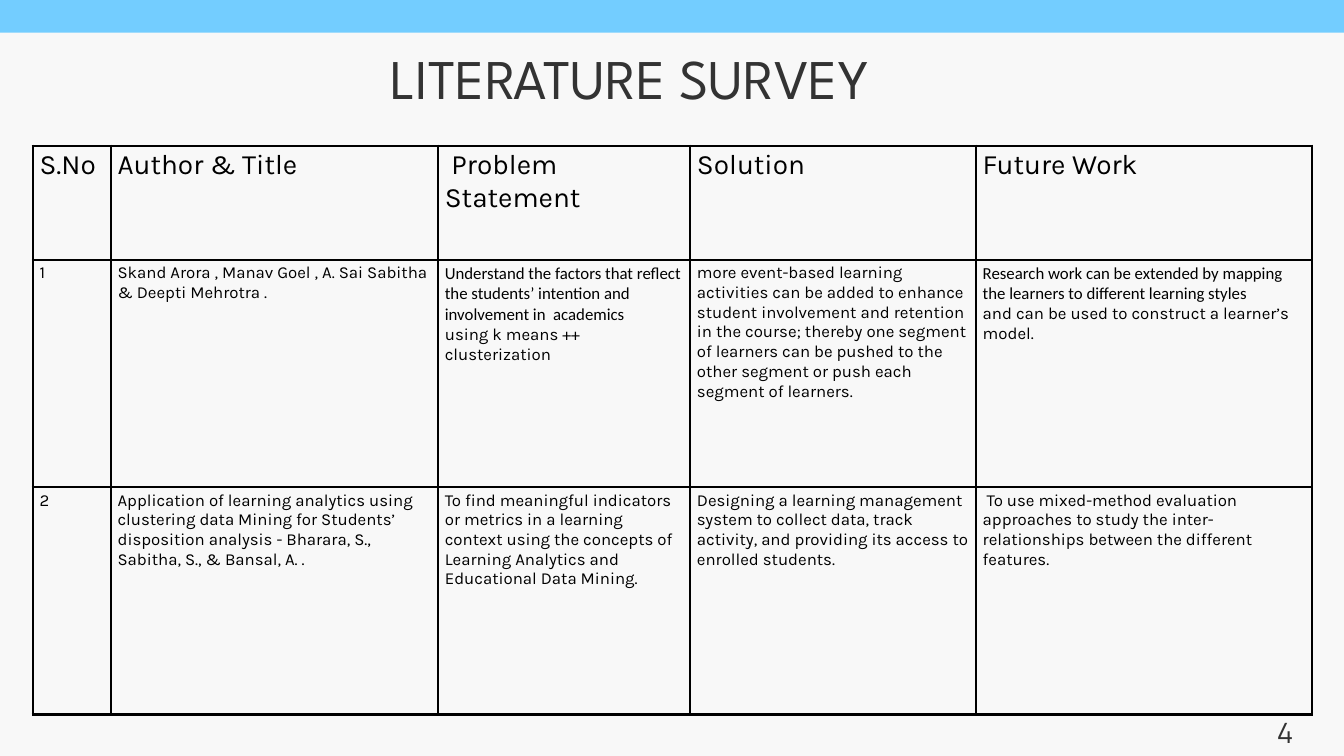
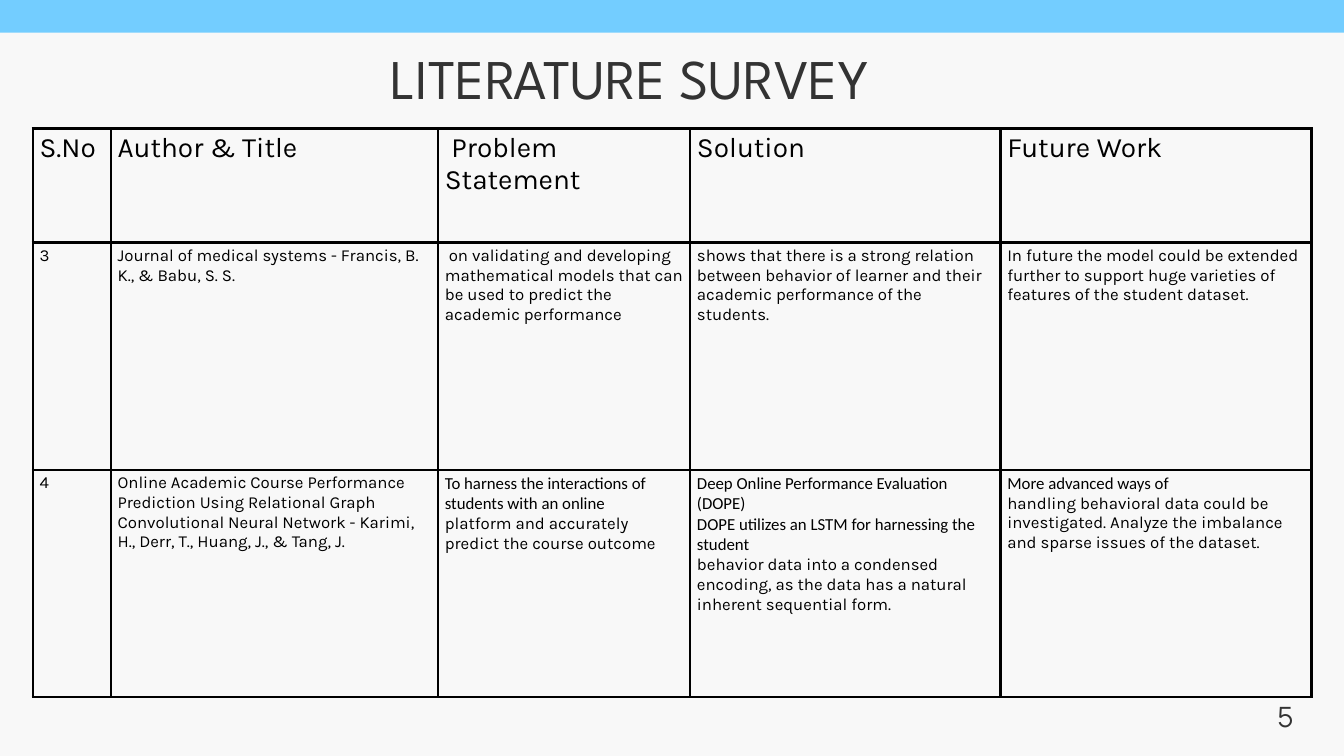
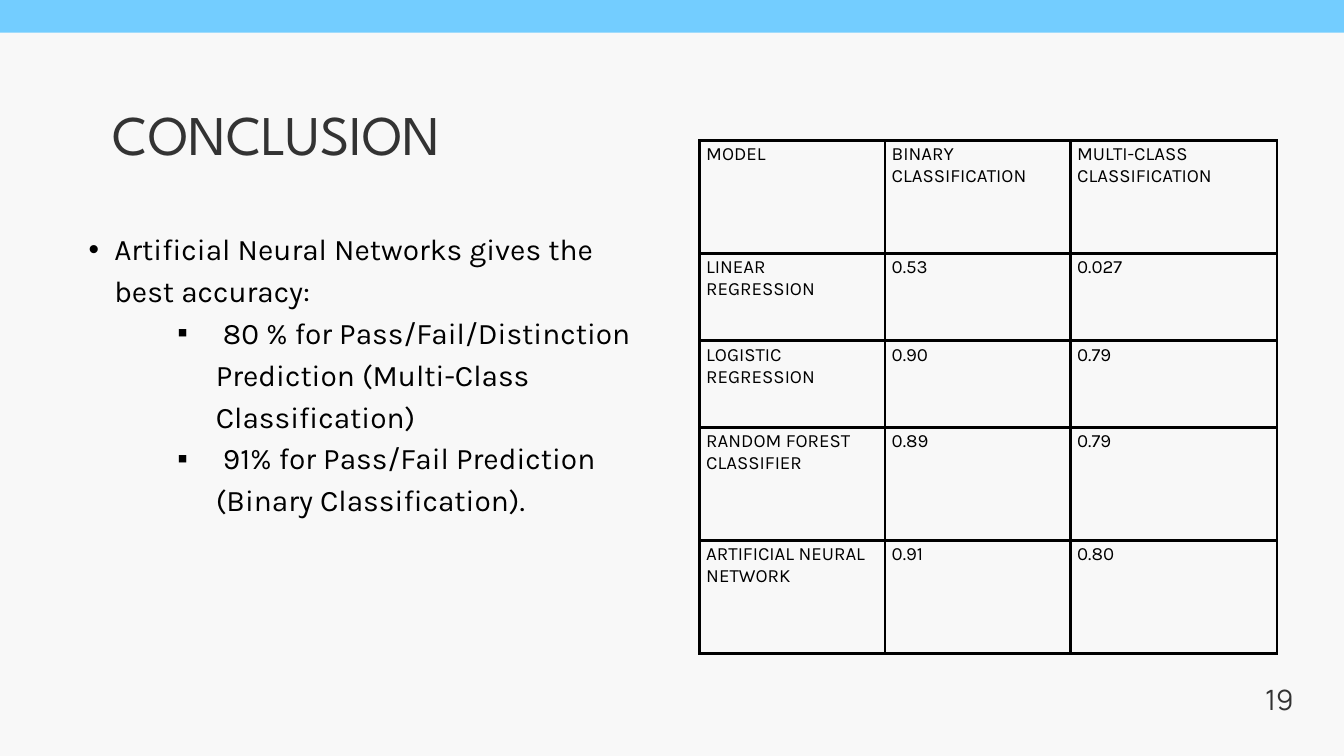
from dataclasses import dataclass
from typing import NamedTuple

import lxml.etree
import pptx
import pptx.dml.color
import pptx.enum.shapes
import pptx.enum.text
import pptx.oxml.ns
import pptx.slide
import pptx.table
import pptx.text.text
import pptx.util
from pptx.util import Cm

ALIGN = pptx.enum.text.PP_ALIGN
BODY_FONT, TITLE_FONT, NUMBER_FONT, QUOTE_FONT = "Karla", "League Spartan", "Manrope", "Calibri"
BULLET_FONT = "Arial"
PAPER, SKY, CHARCOAL, BLACK = "F8F8F8", "73CDFF", "333333", "000000"
SLIDE_WIDTH, SLIDE_HEIGHT, BAND_HEIGHT = Cm(50.8), Cm(28.58), Cm(1.24)
BORDER_WIDTH = pptx.util.Pt(3)
BULLET_LEADING = 44.8


class Passage(NamedTuple):
    text: str
    font: str = BODY_FONT


Cell = str | tuple[Passage, ...]


class Box(NamedTuple):
    """Left, top, width and height in centimetres."""
    left: float
    top: float
    width: float
    height: float


@dataclass
class Grid:
    """A bordered table; sizes are in centimetres, text sizes in points."""
    left: float
    top: float
    columns: list[float]
    rows: list[float]
    cells: list[list[Cell]]
    header_size: float
    body_size: float


@dataclass
class Page:
    title: str
    title_box: Box
    title_align: ALIGN
    number: str
    number_top: float
    grid: Grid


class Bullet(NamedTuple):
    text: str
    mark: str
    level: int
    indent: float
    hanging: float


def rgb(color: str) -> pptx.dml.color.RGBColor:
    return pptx.dml.color.RGBColor.from_string(color)


def write(paragraph: pptx.text.text._Paragraph, text: str, *, size: float,
          font: str = BODY_FONT, color: str = BLACK,
          align: ALIGN | None = None, leading: float | None = None) -> None:
    run = paragraph.add_run()
    run.text = text
    run.font.name = font
    run.font.size = pptx.util.Pt(size)
    run.font.color.rgb = rgb(color)
    if align is not None:
        paragraph.alignment = align
    if leading is not None:
        paragraph.line_spacing = pptx.util.Pt(leading)


def next_paragraph(frame: pptx.text.text.TextFrame, index: int) -> pptx.text.text._Paragraph:
    return frame.add_paragraph() if index else frame.paragraphs[0]


def add_text_frame(slide: pptx.slide.Slide, box: Box) -> pptx.text.text.TextFrame:
    frame = slide.shapes.add_textbox(*map(Cm, box)).text_frame
    frame.word_wrap = True
    frame.margin_left = frame.margin_top = frame.margin_right = frame.margin_bottom = 0
    return frame


def add_borders(cell: pptx.table._Cell) -> None:
    properties = cell._tc.get_or_add_tcPr()
    qn = pptx.oxml.ns.qn
    for side in ("lnL", "lnR", "lnT", "lnB"):
        edge = lxml.etree.SubElement(properties, qn(f"a:{side}"), w=str(BORDER_WIDTH))
        fill = lxml.etree.SubElement(edge, qn("a:solidFill"))
        lxml.etree.SubElement(fill, qn("a:srgbClr"), val=BLACK)


def add_grid(slide: pptx.slide.Slide, grid: Grid) -> None:
    table = slide.shapes.add_table(
        len(grid.rows), len(grid.columns), Cm(grid.left), Cm(grid.top),
        Cm(sum(grid.columns)), Cm(sum(grid.rows))).table
    table.first_row = table.horz_banding = False
    for column, width in zip(table.columns, grid.columns):
        column.width = Cm(width)
    for row, height in zip(table.rows, grid.rows):
        row.height = Cm(height)
    for row_index, contents in enumerate(grid.cells):
        size = grid.body_size if row_index else grid.header_size
        for column_index, content in enumerate(contents):
            cell = table.cell(row_index, column_index)
            add_borders(cell)
            cell.fill.background()
            passages = (Passage(content),) if isinstance(content, str) else content
            for index, passage in enumerate(passages):
                write(next_paragraph(cell.text_frame, index), passage.text,
                      size=size, font=passage.font)


def add_bullets(slide: pptx.slide.Slide, box: Box, bullets: list[Bullet]) -> None:
    frame = add_text_frame(slide, box)
    frame.margin_top = pptx.util.Pt(BULLET_LEADING)
    qn = pptx.oxml.ns.qn
    for index, bullet in enumerate(bullets):
        paragraph = next_paragraph(frame, index)
        write(paragraph, bullet.text, size=32, leading=BULLET_LEADING)
        paragraph.level = bullet.level
        properties = paragraph._p.get_or_add_pPr()
        properties.set("marL", str(Cm(bullet.indent)))
        properties.set("indent", str(-Cm(bullet.hanging)))
        lxml.etree.SubElement(properties, qn("a:buFont"), typeface=BULLET_FONT)
        lxml.etree.SubElement(properties, qn("a:buChar"), char=bullet.mark)


def add_page(deck, page: Page) -> pptx.slide.Slide:
    slide = deck.slides.add_slide(deck.slide_layouts[6])
    slide.background.fill.solid()
    slide.background.fill.fore_color.rgb = rgb(PAPER)
    band = slide.shapes.add_shape(
        pptx.enum.shapes.MSO_SHAPE.RECTANGLE, 0, 0, SLIDE_WIDTH, BAND_HEIGHT)
    band.shadow.inherit = False
    band.fill.solid()
    band.fill.fore_color.rgb = rgb(SKY)
    band.line.fill.background()
    add_grid(slide, page.grid)
    number = add_text_frame(slide, Box(46.99, page.number_top, 1.9, 1.63))
    write(number.paragraphs[0], page.number, size=30, font=NUMBER_FONT,
          color=CHARCOAL, align=ALIGN.RIGHT, leading=48)
    title = add_text_frame(slide, page.title_box)
    write(title.paragraphs[0], page.title, size=60, font=TITLE_FONT,
          color=CHARCOAL, align=page.title_align, leading=84)
    return slide


def survey_page(number: str, number_top: float, table_top: float,
                last_columns: list[float], papers: list[list[Cell]]) -> Page:
    headings = ["S.No", "Author & Title", " Problem Statement", "Solution", "Future Work"]
    grid = Grid(1.24, table_top, [2.95, 12.37, 9.53, *last_columns],
                [4.32, 8.59, 8.59], [headings, *papers], 30, 18)
    return Page("LITERATURE SURVEY", Box(14.76, 1.24, 22.63, 2.9), ALIGN.JUSTIFY,
                number, number_top, grid)


FIRST_PAPERS = [
    ["1",
     "Skand Arora , Manav Goel , A. Sai Sabitha & Deepti Mehrotra .",
     (Passage("Understand the factors that reflect the students’ intention and", QUOTE_FONT),
      Passage("involvement in  academics", QUOTE_FONT),
      Passage("using k means ++ clusterization")),
     "more event-based learning activities can be added to enhance student involvement and "
     "retention in the course; thereby one segment of learners can be pushed to the other "
     "segment or push each segment of learners.",
     (Passage("Research work can be extended by mapping the learners to different "
              "learning styles", QUOTE_FONT),
      Passage("and can be used to construct a learner’s model."))],
    ["2",
     "Application of learning analytics using clustering data Mining for Students’ "
     "disposition analysis - Bharara, S., Sabitha, S., & Bansal, A. .",
     "To find meaningful indicators or metrics in a learning context using the concepts of "
     "Learning Analytics and Educational Data Mining.",
     "Designing a learning management system to collect data, track activity, and providing "
     "its access to enrolled students.",
     " To use mixed-method evaluation approaches to study the inter-relationships between "
     "the different features."],
]

SECOND_PAPERS = [
    ["3",
     "Journal of medical systems - Francis, B. K., & Babu, S. S.",
     " on validating and developing mathematical models that can be used to predict the "
     "academic performance",
     "shows that there is a strong relation between behavior of learner and their academic "
     "performance of the students.",
     "In future the model could be extended further to support huge varieties of features "
     "of the student dataset."],
    ["4",
     "Online Academic Course Performance Prediction Using Relational Graph Convolutional "
     "Neural Network - Karimi, H., Derr, T., Huang, J., & Tang, J.",
     (Passage("To harness the interactions of students with an online", QUOTE_FONT),
      Passage("platform and accurately predict the course outcome")),
     (Passage("Deep Online Performance Evaluation (DOPE)", QUOTE_FONT),
      Passage("DOPE utilizes an LSTM for harnessing the student", QUOTE_FONT),
      Passage("behavior data into a condensed encoding, as the data has a natural inherent "
              "sequential form.")),
     (Passage("More advanced ways of", QUOTE_FONT),
      Passage("handling behavioral data could be investigated. Analyze the imbalance and "
              "sparse issues of the dataset."))],
]

ACCURACIES = Grid(
    26.44, 5.31, [7.01, 7.01, 7.8], [4.27, 3.3, 3.28, 4.27, 4.27],
    [["MODEL", "BINARY CLASSIFICATION", "MULTI-CLASS CLASSIFICATION"],
     ["LINEAR REGRESSION", "0.53", "0.027"],
     ["LOGISTIC REGRESSION", "0.90", "0.79"],
     ["RANDOM FOREST CLASSIFIER", "0.89", "0.79"],
     ["ARTIFICIAL NEURAL NETWORK", "0.91", "0.80"]], 20, 20)

FINDINGS = [
    Bullet("Artificial Neural Networks gives the best accuracy:", "•", 1, 1.93, 0.97),
    Bullet(" 80 % for Pass/Fail/Distinction Prediction (Multi-Class Classification)",
           "▪", 3, 5.77, 1.45),
    Bullet(" 91% for Pass/Fail Prediction (Binary Classification).", "▪", 3, 5.77, 1.45),
]


def main() -> None:
    deck = pptx.Presentation()
    deck.slide_width, deck.slide_height = SLIDE_WIDTH, SLIDE_HEIGHT
    add_page(deck, survey_page("4", 26.64, 5.51, [10.8, 12.7], FIRST_PAPERS))
    add_page(deck, survey_page("5", 26.01, 4.85, [11.73, 11.76], SECOND_PAPERS))
    conclusion = add_page(deck, Page("CONCLUSION", Box(2.84, 3.33, 15.24, 2.82),
                                     ALIGN.CENTER, "19", 25.37, ACCURACIES))
    add_bullets(conclusion, Box(2.39, 6.93, 21.59, 15.62), FINDINGS)
    deck.save("out.pptx")


if __name__ == "__main__":
    main()
